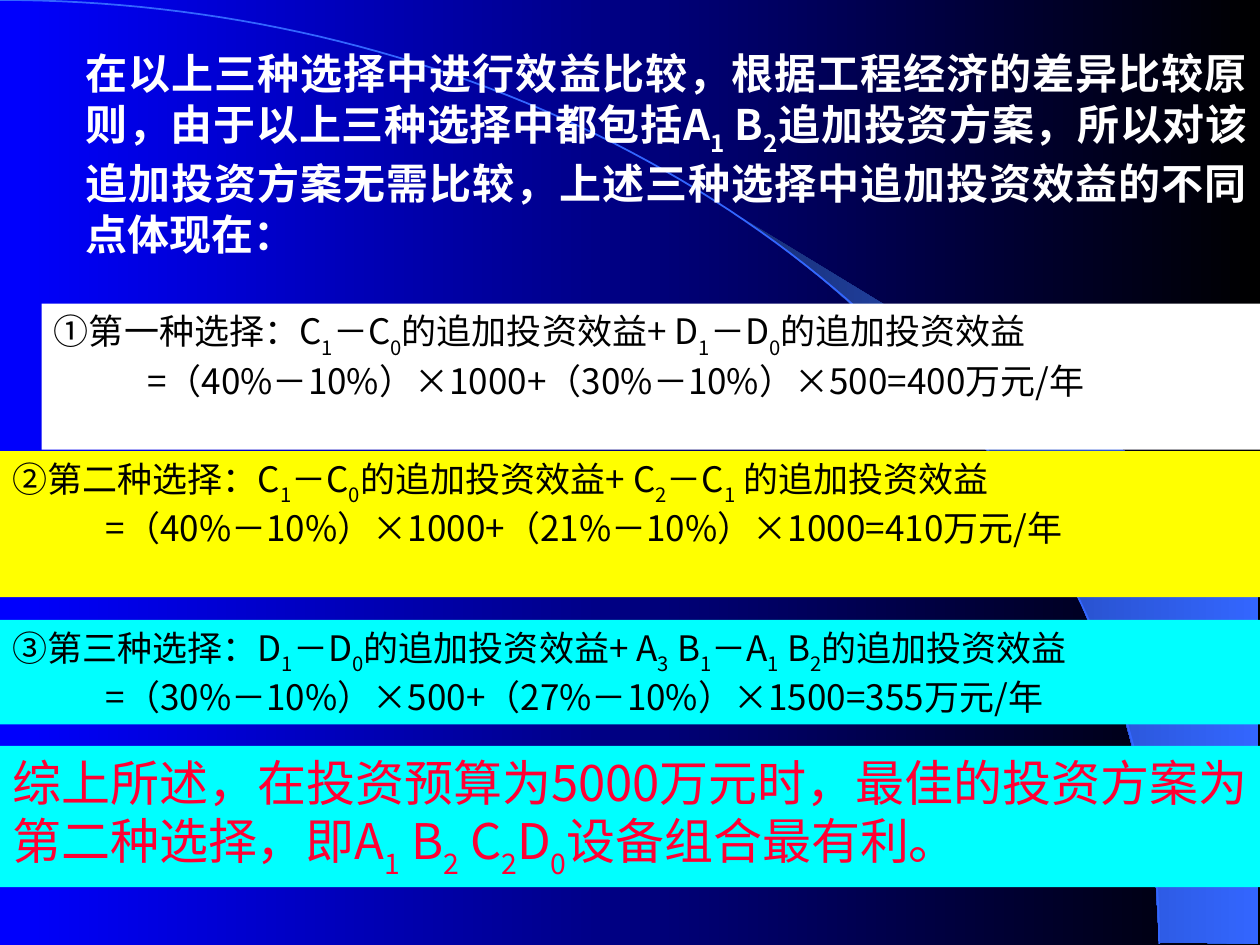
import math
from dataclasses import dataclass

import lxml.etree
import pptx
import pptx.dml.color
import pptx.enum.shapes
import pptx.enum.text
import pptx.oxml.ns
import pptx.util

Inches = pptx.util.Inches


@dataclass(frozen=True)
class Theme:
    font: str = "Noto Sans CJK SC"
    intro_size: int = 24
    body_size: int = 20
    summary_size: int = 28
    white: str = "FFFFFF"
    black: str = "000000"
    yellow: str = "FFFF00"
    cyan: str = "00FFFF"
    red: str = "FF0033"
    blue: str = "0000FF"
    arc: str = "3366FF"
    arc_dark: str = "182F76"


def rgb(value):
    return pptx.dml.color.RGBColor.from_string(value)


class SlideBuilder:
    def __init__(self, prs, theme):
        self.theme = theme
        self.s = prs.slides.add_slide(prs.slide_layouts[6])

    def gradient(self, fill, start, end):
        fill.gradient()
        fill.gradient_angle = 0
        for stop, color in zip(fill.gradient_stops, (start, end)):
            stop.color.rgb = rgb(color)

    def outline(self, points, close):
        points = [(Inches(x), Inches(y)) for x, y in points]
        builder = self.s.shapes.build_freeform(*points[0])
        builder.add_line_segments(points[1:], close=close)
        sp = builder.convert_to_shape()
        sp.shadow.inherit = False
        return sp

    def wedge(self, points, start, end):
        sp = self.outline(points, True)
        self.gradient(sp.fill, start, end)
        sp.line.fill.background()

    def curve(self, points, color):
        sp = self.outline(points, False)
        sp.fill.background()
        sp.line.color.rgb = rgb(color)
        sp.line.width = pptx.util.Pt(1)

    def run(self, p, text, size, color, bold, subscript=False):
        r = p.add_run()
        r.text = text
        r.font.name = self.theme.font
        r.font.size = pptx.util.Pt(size)
        r.font.bold = bold
        r.font.color.rgb = rgb(color)
        rPr = r._r.get_or_add_rPr()
        ea = lxml.etree.SubElement(rPr, pptx.oxml.ns.qn("a:ea"))
        ea.set("typeface", self.theme.font)
        if subscript:
            rPr.set("baseline", "-30000")

    def add_lines(self, sp, lines, size, color, bold=False):
        """Fill a box; "_" lowers the next character, later lines are indented."""
        tf = sp.text_frame
        tf.word_wrap = True
        tf.vertical_anchor = pptx.enum.text.MSO_ANCHOR.TOP
        for i, line in enumerate(lines):
            p = tf.add_paragraph() if i else tf.paragraphs[0]
            p.alignment = pptx.enum.text.PP_ALIGN.JUSTIFY
            if i:
                p._p.get_or_add_pPr().set("marL", str(Inches(0.74)))
            head, *parts = line.split("_")
            self.run(p, head, size, color, bold)
            for part in parts:
                self.run(p, part[0], size, color, bold, subscript=True)
                if part[1:]:
                    self.run(p, part[1:], size, color, bold)

    def text(self, box, lines, size, color, bold=False):
        sp = self.s.shapes.add_textbox(*map(Inches, box))
        self.add_lines(sp, lines, size, color, bold)

    def panel(self, box, fill, lines, size, color):
        sp = self.s.shapes.add_shape(
            pptx.enum.shapes.MSO_SHAPE.RECTANGLE, *map(Inches, box))
        sp.shadow.inherit = False
        sp.fill.solid()
        sp.fill.fore_color.rgb = rgb(fill)
        sp.line.fill.background()
        self.add_lines(sp, lines, size, color)


def main():
    prs = pptx.Presentation()
    prs.slide_width, prs.slide_height = Inches(10), Inches(7.5)
    t = Theme()
    b = SlideBuilder(prs, t)

    # Background with a quarter ellipse and the shaded wedge outside it
    b.gradient(b.s.background.fill, t.blue, t.black)
    b.wedge([(9.2, 7.48), (9.99, 7.49), (9.99, 4.23), (5.89, 1.73),
             (6.24, 1.99), (6.53, 2.22), (6.85, 2.5), (7.16, 2.8),
             (7.62, 3.3), (8.03, 3.84), (8.32, 4.31), (8.58, 4.79),
             (8.78, 5.28), (8.93, 5.72), (9.03, 6.09), (9.13, 6.56),
             (9.17, 6.96)], t.arc_dark, t.arc)
    angles = [math.radians(a) for a in range(91)]
    b.curve([(9.2 * math.sin(a), 7.49 * (1 - math.cos(a))) for a in angles],
            t.arc)

    # Introduction
    b.text((0.58, 0.33, 9.42, 1.77),
           ["在以上三种选择中进行效益比较，根据工程经济的差异比较原则，"
            "由于以上三种选择中都包括A_1 B_2追加投资方案，所以对该追加投资方案无需比较，"
            "上述三种选择中追加投资效益的不同点体现在："],
           t.intro_size, t.white, bold=True)

    # The three choices
    choices = [
        ((0.33, 2.41, 9.67, 1.16), t.white,
         ["①第一种选择：C_1－C_0的追加投资效益+ D_1－D_0的追加投资效益",
          "=（40%－10%）×1000+（30%－10%）×500=400万元/年"]),
        ((0, 3.58, 10, 1.16), t.yellow,
         ["②第二种选择：C_1－C_0的追加投资效益+ C_2－C_1 的追加投资效益",
          "=（40%－10%）×1000+（21%－10%）×1000=410万元/年"]),
        ((0, 4.92, 10, 0.83), t.cyan,
         ["③第三种选择：D_1－D_0的追加投资效益+ A_3 B_1－A_1 B_2的追加投资效益",
          "=（30%－10%）×500+（27%－10%）×1500=355万元/年"]),
    ]
    for box, fill, lines in choices:
        b.panel(box, fill, lines, t.body_size, t.black)

    # Conclusion
    b.panel((0, 5.92, 10, 1.12), t.cyan,
            ["综上所述，在投资预算为5000万元时，最佳的投资方案为第二种选择，"
             "即A_1 B_2 C_2D_0设备组合最有利。"],
            t.summary_size, t.red)

    prs.save("out.pptx")


if __name__ == "__main__":
    main()
